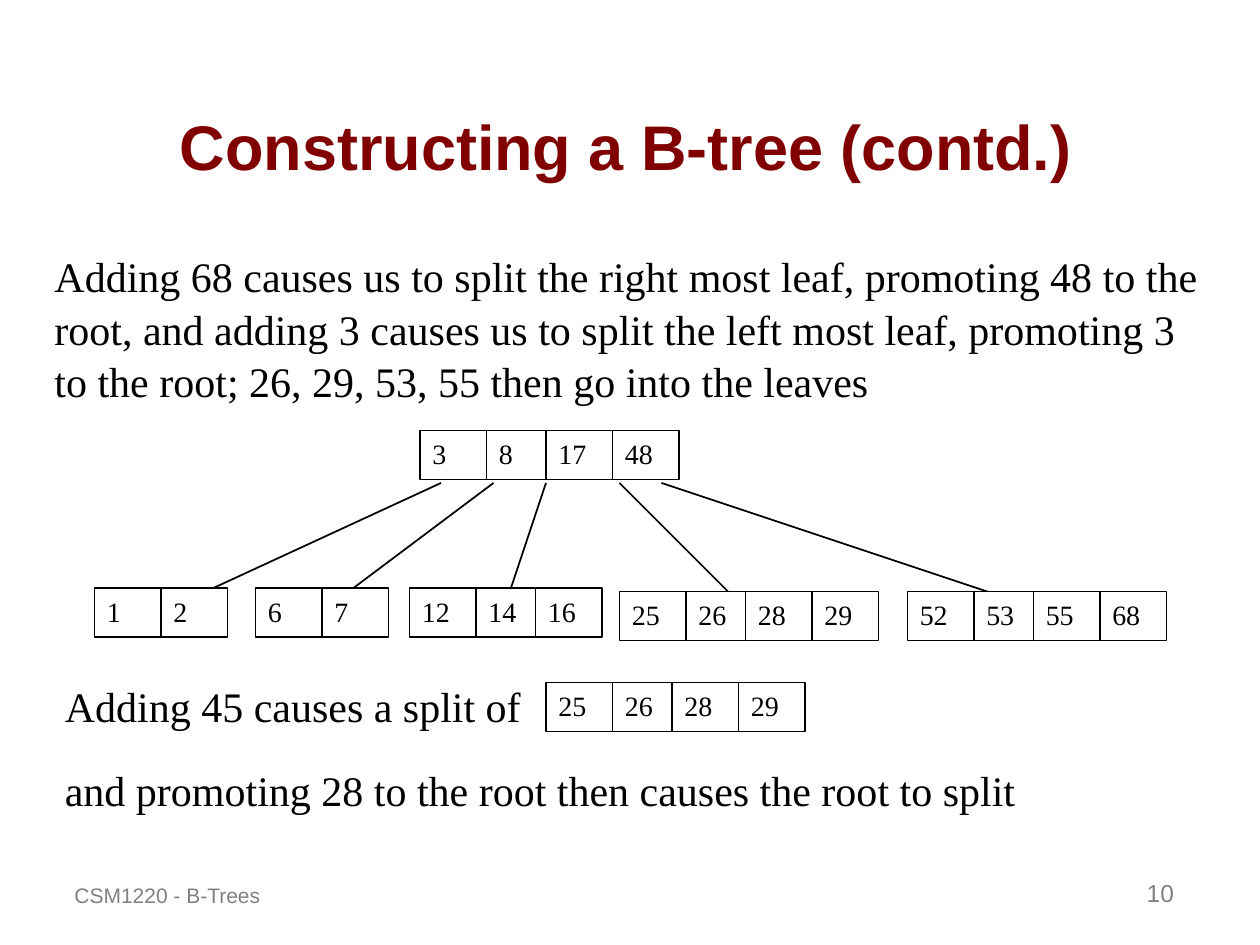
from pptx import Presentation
from pptx.dml.color import RGBColor
from pptx.enum.shapes import MSO_CONNECTOR, MSO_SHAPE
from pptx.enum.text import MSO_ANCHOR, MSO_AUTO_SIZE, PP_ALIGN
from pptx.oxml.ns import qn
from pptx.util import Pt

BLACK, WHITE, MAROON, GRAY = "000000", "FFFFFF", "800000", "808080"
SERIF, SANS = "Times New Roman", "Arial"

KEY_WIDTH, KEY_HEIGHT = 38, 28
KEY_OFFSETS = (0, 38, 72, 110)

# Left edge, top edge and keys of each node
ROOT = (240, 246, (3, 8, 17, 48))
LEAVES = [
    (54, 336, (1, 2)),
    (146, 336, (6, 7)),
    (234, 336, (12, 14, 16)),
    (354, 338, (25, 26, 28, 29)),
    (518.5, 338, (52, 53, 55, 68)),
]
SPLIT_LEAF = (312, 390, (25, 26, 28, 29))

# Horizontal start and end of each link from root to leaf
LINK_TOP, LINK_BOTTOM = 276, 348
LINKS = [(252, 96), (282, 186), (312, 288), (354, 426), (378, 594)]


def color(hex_string):
    return RGBColor.from_string(hex_string)


def write(frame, text, font, size, ink, align=PP_ALIGN.LEFT,
          anchor=MSO_ANCHOR.TOP, bold=False):
    frame.word_wrap = True
    frame.auto_size = MSO_AUTO_SIZE.NONE
    frame.vertical_anchor = anchor
    frame.text = text
    paragraph = frame.paragraphs[0]
    paragraph.alignment = align
    run_font = paragraph.runs[0].font
    run_font.name, run_font.size, run_font.bold = font, Pt(size), bold
    run_font.color.rgb = color(ink)
    return paragraph


def add_title(slide, text):
    title = slide.shapes.title
    title.left, title.top = Pt(31.5), Pt(18)
    title.width, title.height = Pt(652.5), Pt(90)
    write(title.text_frame, text, SANS, 36, MAROON,
          PP_ALIGN.CENTER, MSO_ANCHOR.BOTTOM, bold=True)


def add_statement(shapes, text, left, top, width, height):
    box = shapes.add_textbox(Pt(left), Pt(top), Pt(width), Pt(height))
    paragraph = write(box.text_frame, text, SERIF, 24, BLACK)
    paragraph.space_before = Pt(15)
    paragraph.line_spacing = 1.05


def add_footer(shapes, text, left, width, size, align):
    box = shapes.add_textbox(Pt(left), Pt(486), Pt(width), Pt(36))
    write(box.text_frame, text, SANS, size, GRAY, align, MSO_ANCHOR.BOTTOM)


def add_link(shapes, start, end):
    link = shapes.add_connector(MSO_CONNECTOR.STRAIGHT, Pt(start),
                                Pt(LINK_TOP), Pt(end), Pt(LINK_BOTTOM))
    link.line.color.rgb = color(BLACK)
    link.line.width = Pt(1)
    properties = link._element.spPr
    properties.append(properties.makeelement(qn("a:effectLst"), {}))


def add_node(shapes, left, top, keys):
    for offset, key in zip(KEY_OFFSETS, keys):
        cell = shapes.add_shape(MSO_SHAPE.RECTANGLE, Pt(left + offset),
                                Pt(top), Pt(KEY_WIDTH), Pt(KEY_HEIGHT))
        cell.shadow.inherit = False
        cell.fill.solid()
        cell.fill.fore_color.rgb = color(WHITE)
        cell.line.color.rgb = color(BLACK)
        cell.line.width = Pt(0.75)
        write(cell.text_frame, str(key), SERIF, 16, BLACK)


def main():
    deck = Presentation()
    deck.slide_width, deck.slide_height = Pt(720), Pt(540)
    slide = deck.slides.add_slide(deck.slide_layouts[5])
    shapes = slide.shapes

    # Heading and first insertion step
    add_title(slide, "Constructing a B-tree (contd.)")
    add_statement(
        shapes,
        "Adding 68 causes us to split the right most leaf, promoting 48 to "
        "the root, and adding 3 causes us to split the left most leaf, "
        "promoting 3 to the root; 26, 29, 53, 55 then go into the leaves",
        24, 138, 672, 93.6)

    # Tree: links lie behind the nodes
    for start, end in LINKS:
        add_link(shapes, start, end)
    for node in [ROOT, *LEAVES]:
        add_node(shapes, *node)

    # Second insertion step, grouped
    step = shapes.add_group_shape().shapes
    add_statement(step, "Adding 45 causes a split of", 30, 384, 288, 36)
    add_node(step, *SPLIT_LEAF)
    add_statement(step, "and promoting 28 to the root then causes the root "
                  "to split", 30, 432, 654, 36)

    # Footer
    add_footer(shapes, "CSM1220 - B-Trees", 35.5, 216, 12, PP_ALIGN.LEFT)
    add_footer(shapes, "10", 528, 150, 14, PP_ALIGN.RIGHT)

    deck.save("out.pptx")


if __name__ == "__main__":
    main()
